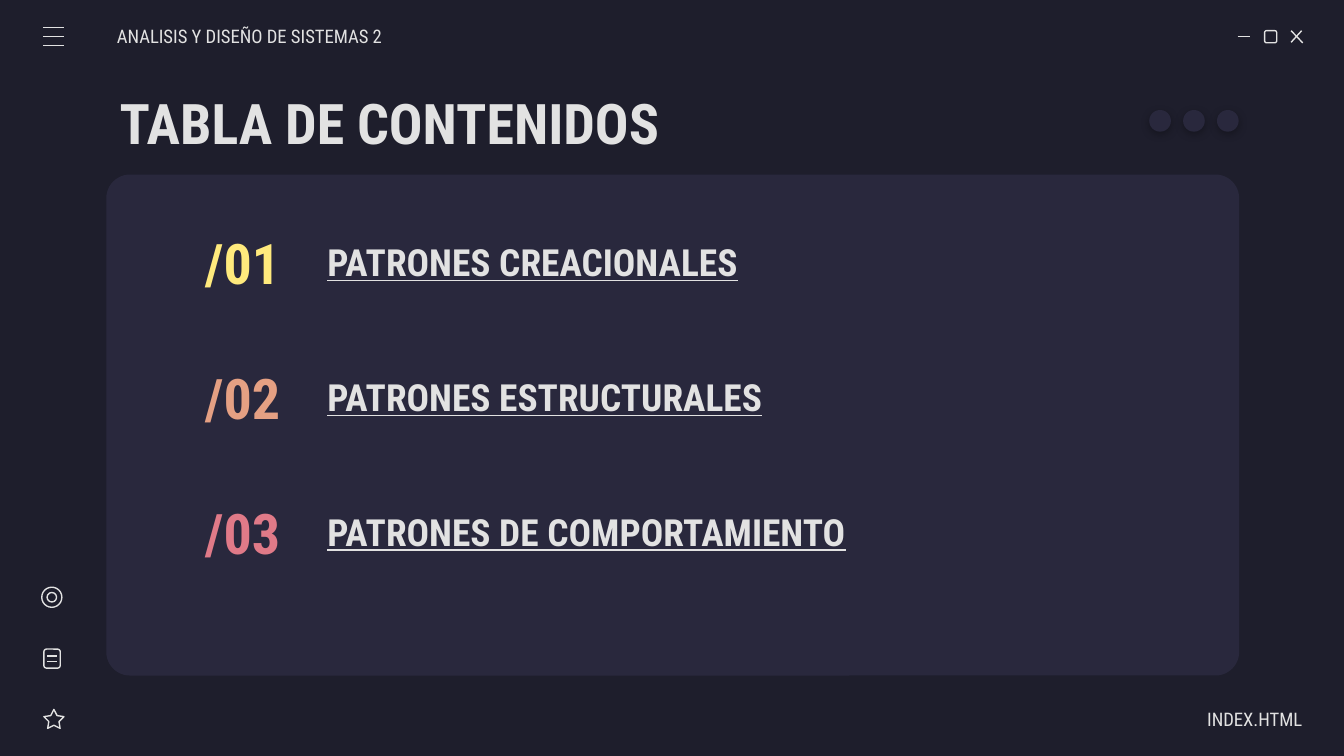
from dataclasses import dataclass

from lxml import etree
from pptx import Presentation
from pptx.dml.color import RGBColor
from pptx.enum import shapes, text
from pptx.oxml import ns
from pptx.util import Cm, Pt

BACKGROUND = RGBColor(0x1E, 0x1E, 0x2C)
PANEL = RGBColor(0x29, 0x28, 0x3D)
LIGHT = RGBColor(0xE2, 0xE2, 0xE2)
YELLOW = RGBColor(0xFF, 0xEA, 0x7D)
ORANGE = RGBColor(0xE5, 0xA0, 0x83)
PINK = RGBColor(0xE0, 0x7A, 0x88)

FONT = "Roboto Condensed"
LINE_WIDTH = Pt(0.75)
INSET = 0.25
ROW_TOP = 4.24
ROW_PITCH = 2.55
MENU_TOP = 0.52
MENU_PITCH = 0.17
DOT_LEFT = 21.72
DOT_PITCH = 0.64

Shape = shapes.MSO_SHAPE
Align = text.PP_ALIGN


@dataclass
class Box:
    left: float
    top: float
    width: float
    height: float

    def lengths(self) -> list:
        return [Cm(v) for v in (self.left, self.top, self.width, self.height)]


@dataclass
class Stroke:
    x1: float
    y1: float
    x2: float
    y2: float


@dataclass
class Style:
    size: int
    color: RGBColor = LIGHT
    bold: bool = False
    underline: bool = False
    align: Align = Align.LEFT
    left_inset: float = INSET
    right_inset: float = INSET


@dataclass
class Icon:
    kind: Shape
    box: Box
    adjustment: float | None = None


@dataclass
class Entry:
    number: str
    label: str
    color: RGBColor


ENTRIES = [
    Entry("/01", "PATRONES CREACIONALES", YELLOW),
    Entry("/02", "PATRONES ESTRUCTURALES", ORANGE),
    Entry("/03", "PATRONES DE COMPORTAMIENTO", PINK),
]

ICONS = [
    Icon(Shape.ROUNDED_RECTANGLE, Box(23.9, 0.58, 0.23, 0.23), 0.167),
    Icon(Shape.STAR_5_POINT, Box(0.83, 13.41, 0.38, 0.36), 0.254),
    Icon(Shape.ROUNDED_RECTANGLE, Box(0.83, 12.27, 0.31, 0.36), 0.167),
    Icon(Shape.OVAL, Box(0.79, 11.1, 0.38, 0.38)),
    Icon(Shape.OVAL, Box(0.89, 11.2, 0.18, 0.18)),
]

STROKES = [
    Stroke(23.39, 0.69, 23.63, 0.69),
    Stroke(24.4, 0.58, 24.62, 0.81),
    Stroke(24.6, 0.58, 24.4, 0.8),
    Stroke(0.89, 12.4, 1.07, 12.4),
    Stroke(0.89, 12.5, 1.07, 12.5),
] + [
    Stroke(0.82, MENU_TOP + i * MENU_PITCH, 1.21, MENU_TOP + i * MENU_PITCH)
    for i in range(3)
]


def write(shape, box: Box, content: str, style: Style) -> None:
    shape.left, shape.top, shape.width, shape.height = box.lengths()
    frame = shape.text_frame
    frame.word_wrap = True
    frame.auto_size = text.MSO_AUTO_SIZE.NONE
    frame.vertical_anchor = text.MSO_ANCHOR.MIDDLE
    frame.margin_left, frame.margin_right = Cm(style.left_inset), Cm(style.right_inset)
    frame.margin_top = frame.margin_bottom = Cm(INSET)
    paragraph = frame.paragraphs[0]
    paragraph.text = content
    paragraph.alignment = style.align
    font = paragraph.font
    font.name, font.size = FONT, Pt(style.size)
    font.bold, font.underline = style.bold, style.underline
    font.color.rgb = style.color


def add_text(slide, box: Box, content: str, style: Style) -> None:
    write(slide.shapes.add_textbox(*box.lengths()), box, content, style)


def add_filled(slide, kind: Shape, box: Box):
    shape = slide.shapes.add_shape(kind, *box.lengths())
    shape.shadow.inherit = False
    shape.fill.solid()
    shape.fill.fore_color.rgb = PANEL
    shape.line.fill.background()
    return shape


def add_icon(slide, icon: Icon) -> None:
    shape = slide.shapes.add_shape(icon.kind, *icon.box.lengths())
    shape.shadow.inherit = False
    shape.fill.background()
    shape.line.color.rgb = LIGHT
    shape.line.width = LINE_WIDTH
    if icon.adjustment is not None:
        shape.adjustments[0] = icon.adjustment


def add_stroke(slide, stroke: Stroke) -> None:
    connector = slide.shapes.add_connector(
        shapes.MSO_CONNECTOR.STRAIGHT,
        Cm(stroke.x1), Cm(stroke.y1), Cm(stroke.x2), Cm(stroke.y2),
    )
    connector.line.color.rgb = LIGHT
    connector.line.width = LINE_WIDTH
    etree.SubElement(connector._element.spPr, ns.qn("a:effectLst"))


def add_dot(slide, left: float) -> None:
    dot = add_filled(slide, Shape.OVAL, Box(left, 2.08, 0.41, 0.41))
    effects = dot._element.spPr.find(ns.qn("a:effectLst"))
    shadow = etree.SubElement(
        effects, ns.qn("a:outerShdw"), blurRad=str(Pt(4.5)), dist=str(Pt(1.5)),
        dir="5400000", algn="bl", rotWithShape="0",
    )
    color = etree.SubElement(shadow, ns.qn("a:srgbClr"), val="000000")
    etree.SubElement(color, ns.qn("a:alpha"), val="30000")


def add_entry(slide, entry: Entry, top: float) -> None:
    add_text(slide, Box(5.94, top, 16.41, 1.42), entry.label,
             Style(20, bold=True, underline=True))
    add_text(slide, Box(3.43, top, 2.31, 1.42), entry.number,
             Style(30, entry.color, bold=True, align=Align.CENTER))


def main() -> None:
    presentation = Presentation()
    presentation.slide_width, presentation.slide_height = Cm(25.4), Cm(14.29)
    slide = presentation.slides.add_slide(presentation.slide_layouts.get_by_name("Title Only"))
    slide.background.fill.solid()
    slide.background.fill.fore_color.rgb = BACKGROUND

    panel = add_filled(slide, Shape.ROUNDED_RECTANGLE, Box(2.01, 3.3, 21.41, 9.47))
    panel.adjustments[0] = 0.047
    write(slide.shapes.title, Box(2.01, 1.5, 21.41, 1.6), "TABLA DE CONTENIDOS",
          Style(30, bold=True))
    for index, entry in enumerate(ENTRIES):
        add_entry(slide, entry, ROW_TOP + index * ROW_PITCH)
    add_text(slide, Box(2.21, 0.3, 9.17, 0.76), "ANALISIS Y DISEÑO DE SISTEMAS 2",
             Style(10, left_inset=0))
    add_text(slide, Box(21.64, 13.21, 2.97, 0.76), "INDEX.HTML",
             Style(10, align=Align.RIGHT, right_inset=0))
    for icon in ICONS:
        add_icon(slide, icon)
    for stroke in STROKES:
        add_stroke(slide, stroke)
    for index in range(3):
        add_dot(slide, DOT_LEFT + index * DOT_PITCH)
    presentation.save("out.pptx")


if __name__ == "__main__":
    main()
